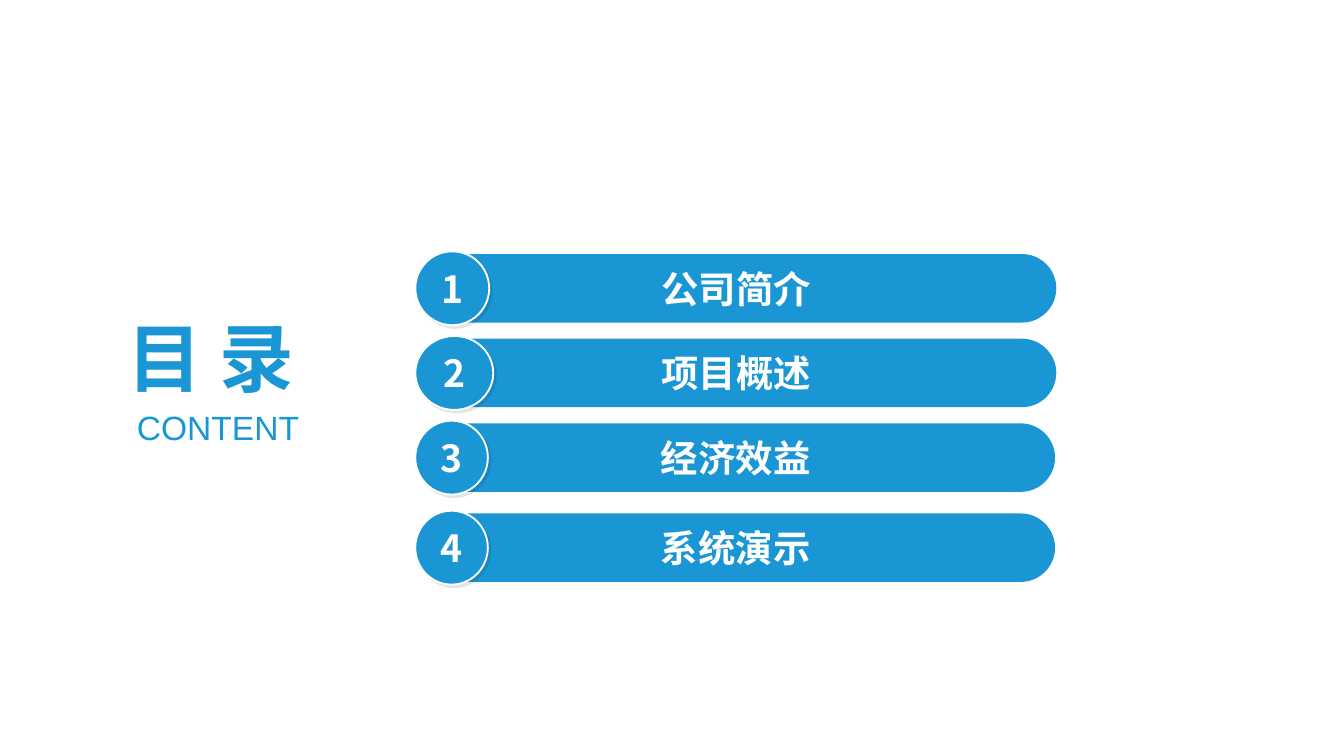
"""Build a contents slide with a title and four numbered bars."""
from dataclasses import dataclass

from lxml.etree import SubElement
from pptx import Presentation
from pptx.dml.color import RGBColor as RGB
from pptx.enum.shapes import MSO_SHAPE as SHAPE
from pptx.enum.text import MSO_ANCHOR as ANCHOR, MSO_AUTO_SIZE as AUTO, PP_ALIGN as ALIGN
from pptx.oxml import parse_xml
from pptx.oxml.ns import nsdecls, qn
from pptx.util import Inches, Pt

COLORS = {"blue": "1B96D5", "white": "FFFFFF", "shadow": "000000"}
CJK = "Noto Sans CJK SC"
WIDTH = Inches(10)
HEIGHT = WIDTH * 9 // 16
CELL = WIDTH // 100
BAR_COL, BAR_ROWS = 31, 5.1
BADGE_COL, BADGE_ROWS = 30.9, 5.5


@dataclass
class Item:
    label: str
    row: float
    bar_cols: float
    badge_cols: float


@dataclass
class Heading:
    text: str
    col: float
    row: float
    cols: float
    rows: float
    size: int
    font: str
    bold: bool


ITEMS = [
    Item("公司简介", 18.9, 47.6, 5.5),
    Item("项目概述", 25.2, 47.6, 5.8),
    Item("经济效益", 31.5, 47.5, 5.4),
    Item("系统演示", 38.2, 47.5, 5.4),
]
HEADINGS = [
    Heading("目 录", 8.5, 22.7, 14.9, 7.7, 40, CJK, True),
    Heading("CONTENT", 9.2, 29.8, 14.2, 4, 18, "Arial", False),
]


def grid(*cells: float) -> list[int]:
    return [round(c * CELL) for c in cells]


def add_run(p, text: str, size: int, color: str, font: str = CJK, bold: bool = True) -> None:
    r = p.add_run()
    r.text = text
    r.font.size, r.font.bold, r.font.name = Pt(size), bold, font
    r.font.color.rgb = RGB.from_string(COLORS[color])
    SubElement(r.font._element, qn("a:ea")).set("typeface", font)


def add_block(group, kind: SHAPE, box: list[int], text: str):
    sp = group.shapes.add_shape(kind, *box)
    sp.shadow.inherit = False
    sp.fill.solid()
    sp.fill.fore_color.rgb = RGB.from_string(COLORS["blue"])
    sp.line.fill.background()
    tf = sp.text_frame
    tf.vertical_anchor = ANCHOR.MIDDLE
    p = tf.paragraphs[0]
    p.alignment = ALIGN.CENTER
    add_run(p, text, 20, "white")
    return sp


def add_shadow(sp) -> None:
    sp._element.spPr.find(qn("a:effectLst")).append(parse_xml(
        f'<a:outerShdw {nsdecls("a")} blurRad="0" dist="{Pt(2)}" dir="2700000" '
        f'algn="tl" rotWithShape="0"><a:srgbClr val="{COLORS["shadow"]}">'
        '<a:alpha val="10000"/></a:srgbClr></a:outerShdw>'))


def add_item(s, number: int, item: Item) -> None:
    group = s.shapes.add_group_shape()
    bar = add_block(group, SHAPE.ROUNDED_RECTANGLE,
                    grid(BAR_COL, item.row, item.bar_cols, BAR_ROWS), item.label)
    bar.adjustments[0] = 0.5
    top = item.row - (BADGE_ROWS - BAR_ROWS) / 2
    badge = add_block(group, SHAPE.OVAL,
                      grid(BADGE_COL, top, item.badge_cols, BADGE_ROWS), str(number))
    badge.line.color.rgb = RGB.from_string(COLORS["white"])
    badge.line.width = Pt(1)
    add_shadow(badge)


def add_heading(s, h: Heading) -> None:
    tf = s.shapes.add_textbox(*grid(h.col, h.row, h.cols, h.rows)).text_frame
    tf.word_wrap = False
    tf.auto_size = AUTO.SHAPE_TO_FIT_TEXT
    add_run(tf.paragraphs[0], h.text, h.size, "blue", h.font, h.bold)


def main() -> None:
    prs = Presentation()
    prs.slide_width, prs.slide_height = WIDTH, HEIGHT
    s = prs.slides.add_slide(prs.slide_layouts[6])
    for number, item in enumerate(ITEMS, 1):
        add_item(s, number, item)
    for heading in HEADINGS:
        add_heading(s, heading)
    prs.save("out.pptx")


if __name__ == "__main__":
    main()
